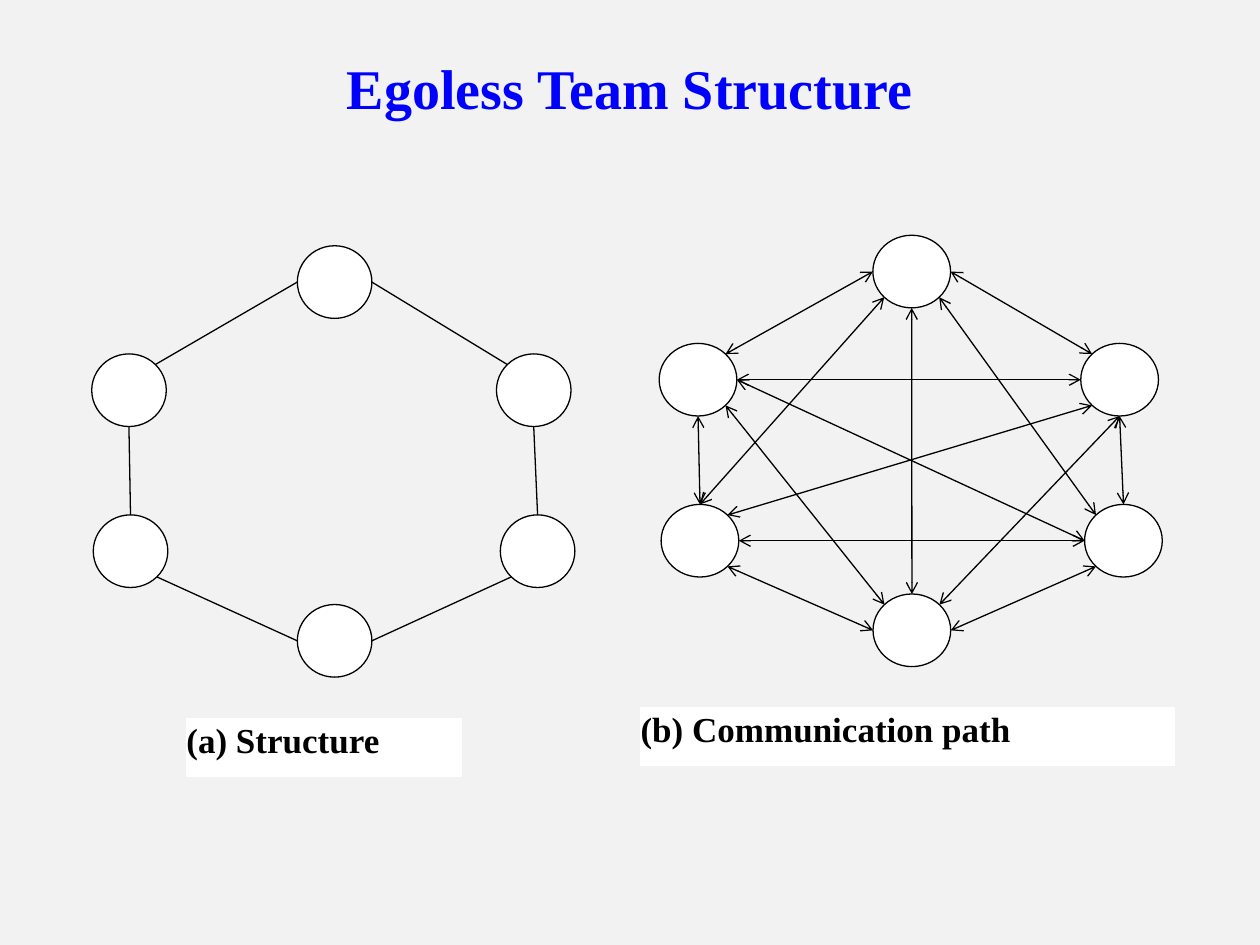
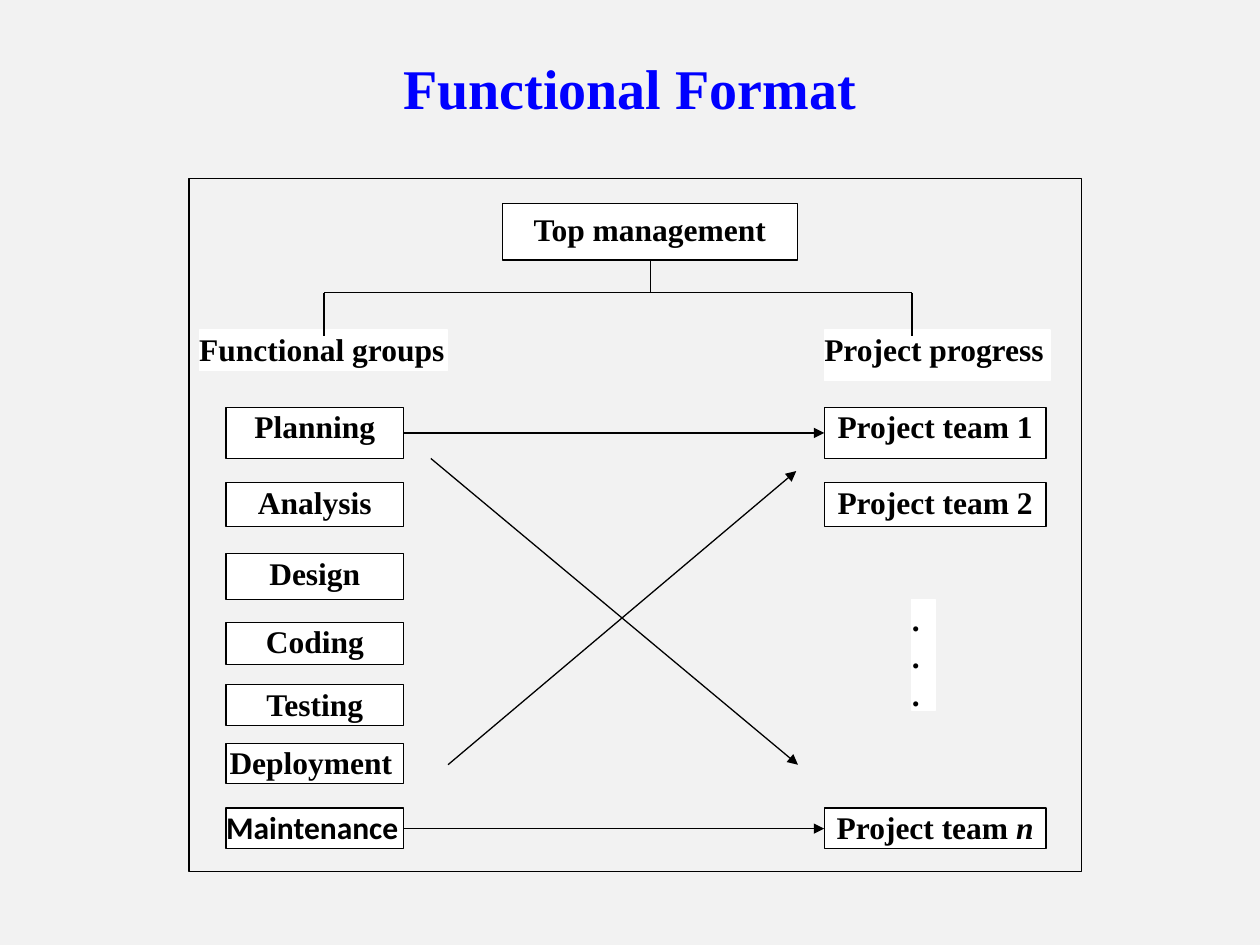
"""Two slides on team organisation: egoless team structure and functional format."""
import math

import pptx
import pptx.dml.color
import pptx.enum.shapes
import pptx.enum.text
import pptx.oxml.xmlchemy
import pptx.util

Pt = pptx.util.Pt
SHAPE = pptx.enum.shapes.MSO_SHAPE
ANCHOR = pptx.enum.text.MSO_ANCHOR
ALIGN = pptx.enum.text.PP_ALIGN

COLORS = {"ground": "F2F2F2", "title": "0000FF", "ink": "000000", "paper": "FFFFFF"}
SERIF, SANS = "Times New Roman", "Calibri"
LINE_WIDTH = 0.75


def rgb(name):
    """Return the named colour."""
    return pptx.dml.color.RGBColor.from_string(COLORS[name])


class Deck:
    """The presentation, its style and the current slide."""

    def __init__(self):
        """Start a 10 by 7.5 inch presentation with a plain background."""
        self.prs = pptx.Presentation()
        self.prs.slide_width, self.prs.slide_height = Pt(720), Pt(540)
        fill = self.prs.slide_master.background.fill
        fill.solid()
        fill.fore_color.rgb = rgb("ground")
        self.s = None

    def slide(self, title):
        """Add a slide with a centred title."""
        self.s = self.prs.slides.add_slide(self.prs.slide_layouts[6])
        sp = self.s.shapes.add_textbox(Pt(36), Pt(21.6), Pt(648), Pt(56.2))
        sp.text_frame.vertical_anchor = ANCHOR.MIDDLE
        self.text(sp, [title], size=32, color="title")

    def text(self, sp, lines, size=18, color="ink", font=SERIF, align=ALIGN.CENTER):
        """Fill in bold lines; a line is a string or a (plain, italic) pair."""
        tf = sp.text_frame
        tf.word_wrap = True
        for i, line in enumerate(lines):
            p = tf.add_paragraph() if i else tf.paragraphs[0]
            p.alignment = align
            p.font.name, p.font.size, p.font.bold = font, Pt(size), True
            p.font.color.rgb = rgb(color)
            plain, italic = (line, None) if isinstance(line, str) else line
            p.add_run().text = plain
            if italic:
                r = p.add_run()
                r.text, r.font.italic = italic, True

    def shape(self, kind, x, y, w, h, fill="paper", line="ink"):
        """Add a flat outlined shape; fill None leaves it empty."""
        sp = self.s.shapes.add_shape(kind, Pt(x), Pt(y), Pt(w), Pt(h))
        sp.shadow.inherit = False
        if fill:
            sp.fill.solid()
            sp.fill.fore_color.rgb = rgb(fill)
        else:
            sp.fill.background()
        sp.line.color.rgb = rgb(line)
        sp.line.width = Pt(LINE_WIDTH)
        return sp

    def box(self, x, y, w, h, lines, line="ink", inset=(0, 0), **style):
        """Add a white rectangle with text at its top."""
        sp = self.shape(SHAPE.RECTANGLE, x, y, w, h, line=line)
        tf = sp.text_frame
        tf.vertical_anchor = ANCHOR.TOP
        tf.margin_left = tf.margin_right = Pt(inset[0])
        tf.margin_top = tf.margin_bottom = Pt(inset[1])
        self.text(sp, lines, **style)

    def label(self, x, y, w, h, *lines, size=18):
        """Add a white, left-aligned label without a visible border."""
        self.box(x, y, w, h, lines, line="paper", size=size, align=ALIGN.LEFT)

    def line(self, start, end, head=None, tail=None):
        """Add a straight line with optional arrowheads at start and end."""
        kind = pptx.enum.shapes.MSO_CONNECTOR.STRAIGHT
        c = self.s.shapes.add_connector(kind, *(Pt(v) for v in (*start, *end)))
        c.line.color.rgb = rgb("ink")
        c.line.width = Pt(LINE_WIDTH)
        ln = c.line._get_or_add_ln()
        for tag, arrow in (("a:headEnd", head), ("a:tailEnd", tail)):
            if arrow:
                mark = pptx.oxml.xmlchemy.OxmlElement(tag)
                mark.set("type", arrow)
                ln.append(mark)
        c._element.spPr.append(pptx.oxml.xmlchemy.OxmlElement("a:effectLst"))

    def ring(self, columns, top, width, links, arrow=None):
        """Draw six team members and the links between their compass points."""
        centres = {name: (x, top + MEMBER_ROWS[name]) for name, x in columns.items()}
        for x, y in centres.values():
            self.shape(SHAPE.OVAL, x - width / 2, y - MEMBER_H / 2, width, MEMBER_H)

        def point(name, side):
            """Return the point of a member's circle on one side."""
            x, y = centres[name]
            angle = math.radians(45 * COMPASS.index(side))
            return (x + width / 2 * math.cos(angle), y + MEMBER_H / 2 * math.sin(angle))

        for link in links:
            a, a_side, b, b_side = link.split()
            self.line(point(a, a_side), point(b, b_side), arrow, arrow)


# Clockwise from the right, as y grows downwards
COMPASS = ["E", "SE", "S", "SW", "W", "NW", "N", "NE"]
MEMBER_H = 41.5
MEMBER_ROWS = {"top": 0, "upright": 61.8, "bottom": 205,
               "lowleft": 153.8, "lowright": 153.8, "upleft": 61.8}
RING_LINKS = ["upleft NE top W", "top E upright NW", "upleft S lowleft N",
              "lowleft SE bottom W", "bottom E lowright SW", "upright S lowright N"]
CROSS_LINKS = ["bottom N top S", "lowleft E lowright W", "upleft E upright W",
               "upleft E lowright W", "lowleft NE upright SW", "top SW lowleft N",
               "top SE lowright NW", "upright S bottom NE", "upleft SE bottom NW"]


def egoless_team(deck):
    """Build the slide with the structure and its communication paths."""
    deck.slide("Egoless Team Structure")
    deck.ring({"top": 191.2, "upright": 305, "bottom": 191.2, "lowleft": 74.6,
               "lowright": 307.2, "upleft": 73.7}, 161.2, 42.6, RING_LINKS)
    deck.label(106.5, 410.4, 157, 33.2, "(a) Structure", size=20)
    deck.ring({"top": 521, "upright": 639.8, "bottom": 521.1, "lowleft": 400,
               "lowright": 642, "upleft": 398.9}, 155.2, 44.4,
              RING_LINKS + CROSS_LINKS, "arrow")
    deck.label(366, 404.4, 305.2, 33.2, "(b) Communication path", size=20)


def functional_format(deck):
    """Build the slide linking functional groups to project teams."""
    deck.slide("Functional Format")
    deck.shape(SHAPE.RECTANGLE, 108, 102.2, 510, 396, fill=None)
    deck.box(287, 116.4, 168.6, 32.2, ["Top management"], inset=(7.2, 3.6))

    group_x, group_w, team_x, team_w = 129.2, 101.4, 471, 126.8
    rows = [("Planning", 232.8, 29.2, "Project team 1"),
            ("Analysis", 275.8, 25.2, "Project team 2"),
            ("Design", 316.4, 26.2, None),
            ("Coding", 355.6, 24.2, None),
            ("Testing", 391.2, 23.4, None),
            ("Deployment ", 424.8, 23, None),
            ("Maintenance", 461.8, 23, ("Project team ", "n"))]
    for group, y, h, team in rows:
        style = {"font": SANS, "align": ALIGN.LEFT} if group == "Maintenance" else {}
        deck.box(group_x, y, group_w, h, [group], **style)
        if team:
            deck.box(team_x, y, team_w, h, [team])
    deck.label(113.8, 188.6, 142, 23.2, "Functional groups")
    deck.label(team_x, 188.6, 129, 29, "Project progress")
    deck.label(521, 342.6, 13.4, 63.4, ".", ".", ".")

    left, middle, right, bar = 185.2, 371.6, 521.2, 167.2
    deck.line((left, bar), (right, bar))
    deck.line((middle, 148.6), (middle, bar))
    for x in (left, right):
        deck.line((x, bar), (x, 192))

    for y in (247.4, 473.5):
        deck.line((group_x + group_w, y), (team_x, y), tail="triangle")
    deck.line((256, 437), (455, 269.2), tail="triangle")
    deck.line((246.2, 262), (456, 437), tail="triangle")


def main():
    """Build and save the presentation."""
    deck = Deck()
    egoless_team(deck)
    functional_format(deck)
    deck.prs.save("out.pptx")


main()
